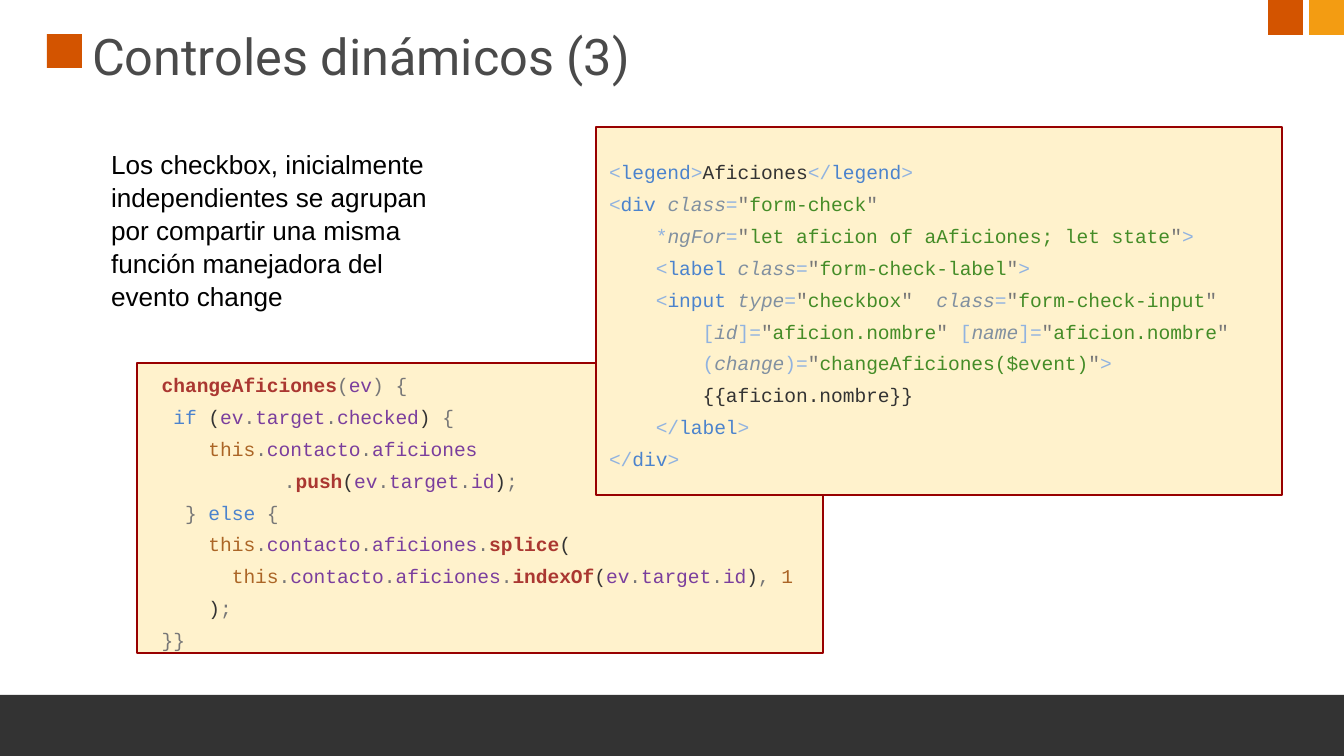
from itertools import groupby

from pptx import Presentation
from pptx.dml.color import RGBColor as RGB
from pptx.enum.shapes import MSO_SHAPE as SHAPE
from pptx.enum.text import MSO_ANCHOR as ANCHOR
from pptx.util import Emu, Pt

PX = 914400 / 134.4  # EMU in one px

# Slide colours
BLACK = RGB(0x00, 0x00, 0x00)
TITLE = RGB(0x4A, 0x4A, 0x4A)
RUST = RGB(0xD3, 0x54, 0x00)
AMBER = RGB(0xF3, 0x9C, 0x12)
CREAM = RGB(0xFF, 0xF2, 0xCC)
MAROON = RGB(0x98, 0x00, 0x00)

# Code colours
DARK = RGB(0x33, 0x33, 0x33)
GREY = RGB(0x77, 0x77, 0x77)
RED = RGB(0xAA, 0x37, 0x31)
PURPLE = RGB(0x7A, 0x3E, 0x9D)
BLUE = RGB(0x4B, 0x83, 0xCD)
BROWN = RGB(0xAB, 0x65, 0x26)
PALE = RGB(0x91, 0xB3, 0xE0)
SLATE = RGB(0x81, 0x90, 0xA0)
GREEN = RGB(0x44, 0x8C, 0x27)

# Colour of each word or sign, then the defaults for words and for signs
JS = {"if": BLUE, "else": BLUE, "this": BROWN, "1": BROWN, "(": DARK, ")": DARK,
      **dict.fromkeys(["changeAficiones", "push", "splice", "indexOf"], RED)}
HEAD = {**JS, "(": GREY, ")": GREY}
HTML = {**dict.fromkeys(["class", "ngFor", "type", "id", "name", "change"], SLATE),
        **dict.fromkeys(["Aficiones", "aficion", "nombre", "{", "}", "."], DARK)}
JS_REST = (PURPLE, GREY)
HTML_REST = (BLUE, PALE)

METHOD = """\
 changeAficiones(ev) {
  if (ev.target.checked) {
     this.contacto.aficiones
.push(ev.target.id);
   } else {
     this.contacto.aficiones.splice(
       this.contacto.aficiones.indexOf(ev.target.id), 1
     );
 }}"""

MARKUP = """\
<legend>Aficiones</legend>
<div class="form-check"
    *ngFor="let aficion of aAficiones; let state">
    <label class="form-check-label">
    <input type="checkbox"  class="form-check-input"
        [id]="aficion.nombre" [name]="aficion.nombre"
        (change)="changeAficiones($event)">
        {{aficion.nombre}}
    </label>
</div>"""


def px(*values):
    return [Emu(round(v * PX)) for v in values]


def block(slide, box, fill, line=None):
    rect = slide.shapes.add_shape(SHAPE.RECTANGLE, *px(*box))
    rect.shadow.inherit = False
    rect.fill.solid()
    rect.fill.fore_color.rgb = fill
    if line is None:
        rect.line.fill.background()
    else:
        rect.line.color.rgb = line
        rect.line.width = Pt(0.75)
    return rect


def inset(frame, gap):
    frame.word_wrap = True
    frame.margin_left, frame.margin_top, frame.margin_right, frame.margin_bottom = px(*[gap] * 4)


def style(font, name, size, color):
    font.name, font.size = name, Pt(size)
    font.color.rgb = color


def label(slide, box, text, font, gap, anchor, space):
    frame = slide.shapes.add_textbox(*px(*box)).text_frame
    inset(frame, gap)
    frame.vertical_anchor = anchor
    frame.text = text
    para = frame.paragraphs[0]
    para.line_spacing = space
    style(para.runs[0].font, *font)


def tokens(line, words, rest):
    """Split a line of code into (text, colour) pairs; odd parts are quoted."""
    for i, part in enumerate(line.split('"')):
        if i:
            yield '"', GREY
        if i % 2:
            yield part, GREEN
            continue
        for is_word, chars in groupby(part, str.isalnum):
            if is_word:
                word = "".join(chars)
                yield word, words.get(word, rest[0])
            else:
                for sign in chars:
                    yield sign, words.get(sign, rest[1])


def code(slide, box, text, rules, rest):
    frame = block(slide, box, CREAM, MAROON).text_frame
    inset(frame, 13)
    frame.vertical_anchor = ANCHOR.MIDDLE
    frame.text = text
    for para, line in zip(frame.paragraphs, text.split("\n")):
        para.clear()
        para.alignment = 1  # left
        para.line_spacing = 1.36
        if line.startswith("."):  # chained call, indented twice
            props = para._p.get_or_add_pPr()
            for key in ("marL", "indent"):
                props.set(key, str(px(67)[0]))
        words = HEAD if line.startswith(" changeAficiones") else rules
        for color, group in groupby(tokens(line, words, rest), lambda t: t[1]):
            run = para.add_run()
            run.text = "".join(t[0] for t in group)
            style(run.font, "Courier New", 10.5, color)
            run.font.bold = color == RED
            run.font.italic = color == SLATE


def main():
    deck = Presentation()
    deck.slide_width, deck.slide_height = px(1344, 756)
    slide = deck.slides.add_slide(deck.slide_layouts[6])

    # Frame of the slide
    block(slide, (47, 34, 35, 34), RUST)
    block(slide, (0, 695, 1344, 61), DARK)
    block(slide, (1268, 0, 35, 35), RUST)
    block(slide, (1309, 0, 35, 35), AMBER)

    # Title and explanation
    label(slide, (84, 16, 1152, 79), "Controles dinámicos (3)",
          ("Roboto", 27, TITLE), 8, ANCHOR.MIDDLE, 1)
    label(slide, (98, 134, 379, 190),
          "Los checkbox, inicialmente independientes se agrupan por compartir "
          "una misma función manejadora del evento change",
          ("Arial", 14, BLACK), 13, ANCHOR.TOP, 1.05)

    # Code panels
    code(slide, (137, 363, 686, 290), METHOD, JS, JS_REST)
    code(slide, (596, 127, 686, 368), MARKUP, HTML, HTML_REST)

    deck.save("out.pptx")


if __name__ == "__main__":
    main()
